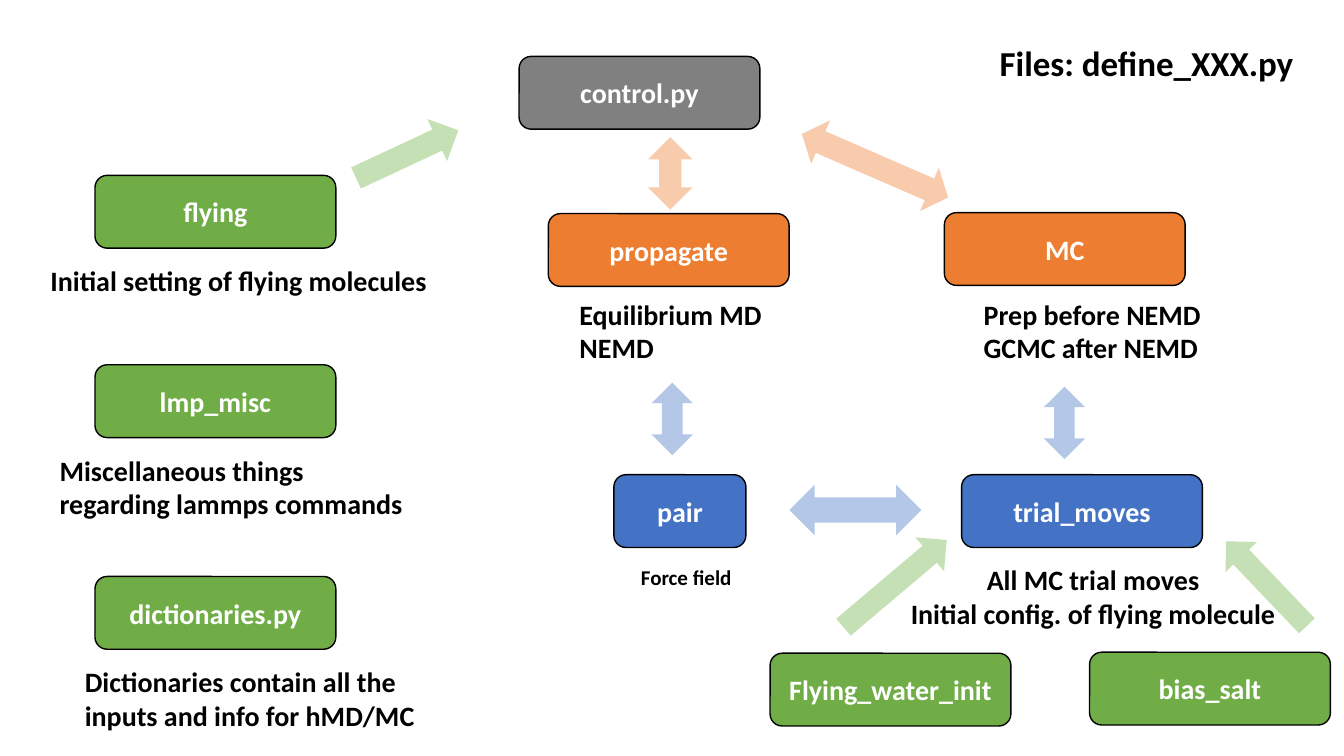
from lxml import etree
from pptx import Presentation, util as u
from pptx.dml.color import RGBColor
from pptx.enum import shapes, text

HUES = {
    "gray": "808080", "green": "70AD47", "orange": "ED7D31", "blue": "4472C4",
    "mint": "C5E0B4", "peach": "F8CBAD", "sky": "B4C7E7",
    "black": "000000", "white": "FFFFFF",
}
WIDE, HIGH = 172, 52
KIND = shapes.MSO_SHAPE
LEFT, MID = text.PP_ALIGN.LEFT, text.PP_ALIGN.CENTER


def hue(name):
    """Return the named colour."""
    return RGBColor.from_string(HUES[name])


def write(frame, words, size, tint, align):
    """Fill a text frame with bold words."""
    frame.text = words
    for para in frame.paragraphs:
        para.alignment = align
        for run in para.runs:
            font = run.font
            font.name, font.size, font.bold = "Calibri", u.Pt(size), True
            font.color.rgb = hue(tint)


def shape(slide, kind, box, tint):
    """Add a flat filled shape in a box of points."""
    item = slide.shapes.add_shape(kind, *map(u.Pt, box))
    item.shadow.inherit = False
    item.fill.solid()
    item.fill.fore_color.rgb = hue(tint)
    item.line.fill.background()
    return item


def block(slide, x, y, words, tint, wide=WIDE):
    """Add a rounded module box with its name."""
    item = shape(slide, KIND.ROUNDED_RECTANGLE, (x, y, wide, HIGH), tint)
    item.line.color.rgb = hue("black")
    item.line.width = u.Pt(1)
    item.text_frame.vertical_anchor = text.MSO_ANCHOR.MIDDLE
    write(item.text_frame, words, 20, "white", MID)


def note(slide, box, words, size=20, align=LEFT, wrap=False):
    """Add a plain caption."""
    frame = slide.shapes.add_textbox(*map(u.Pt, box)).text_frame
    frame.word_wrap = wrap
    write(frame, words, size, "black", align)


def arrow(slide, box, tint, turn=0, kind=KIND.LEFT_RIGHT_ARROW):
    """Add a block arrow turned by degrees."""
    item = shape(slide, kind, box, tint)
    item.rotation = turn
    return item


def top(slide, x, y):
    """Draw the control box, its arrows and the file label."""
    block(slide, x, y, "control.py", "gray")
    note(slide, (x + 336.2, y - 14.4, 226.8, 37.4), "Files: define_XXX.py", 25)
    arrow(slide, (x - 96.5, y + 29.5, 33.1, 80.6), "mint", 65, KIND.UP_ARROW)
    arrow(slide, (x + 82.1, y + 67.7, 51.8, 31.7), "peach", 270)
    slant = arrow(slide, (x + 197.3, y + 61.2, 113.8, 33.8), "peach", 23.5)
    slant.adjustments[1] = 0.43


def side(slide, x, y):
    """Draw the column of helper modules."""
    rows = [
        (0, "flying", -39, 286.6, "Initial setting of flying molecules", False),
        (135.3, "lmp_misc", -32.4, 260.6,
         "Miscellaneous things regarding lammps commands", True),
        (286.5, "dictionaries.py", -14.4, 272.2,
         "Dictionaries contain all the inputs and info for hMD/MC", True),
    ]
    for drop, name, shift, wide, words, wrap in rows:
        block(slide, x, y + drop, name, "green")
        high = 55.4 if wrap else 31.7
        note(slide, (x + shift, y + drop + 59.5, wide, high), words, wrap=wrap)


def force(slide, x, y):
    """Draw the dynamics column down to the force field."""
    block(slide, x, y, "propagate", "orange")
    note(slide, (x + 15.1, y + 56.2, 145.4, 55.4), "Equilibrium MD\nNEMD")
    arrow(slide, (x + 62.6, y + 131.8, 51.8, 29.5), "sky", 270)
    block(slide, x + 46.8, y + 186.5, "pair", "blue", 94.3)
    note(slide, (x + 59, y + 247, 79.9, 25.2), "Force field", 15)
    arrow(slide, (x + 172.1, y + 193.7, 94.3, 36), "sky")


def feeds(slide, x, y):
    """Draw the two modules that feed the trial moves."""
    block(slide, x, y, "Flying_water_init", "green")
    block(slide, x + 228.2, y - 0.7, "bias_salt", "green")
    for box, turn in [((x + 73.4, y - 98, 31.7, 96.5), 49.8),
                      ((x + 339.1, y - 91.5, 31, 83.5), 316.3)]:
        arrow(slide, box, "mint", turn, KIND.UP_ARROW)


def trials(slide, x, y):
    """Draw the Monte Carlo column down to the trial moves."""
    block(slide, x, y, "MC", "orange")
    note(slide, (x + 20.9, y + 56.9, 171.4, 55.4),
         "Prep before NEMD\nGCMC after NEMD")
    arrow(slide, (x + 59.8, y + 135.4, 51.8, 29.5), "sky", 90)
    block(slide, x + 12.3, y + 187.2, "trial_moves", "blue")
    note(slide, (x - 32.4, y + 246.3, 277.2, 55.4),
         "All MC trial moves\nInitial config. of flying molecule", align=MID)


def main():
    """Build and save the slide."""
    deck = Presentation()
    deck.slide_width, deck.slide_height = u.Pt(960), u.Pt(540)
    slide = deck.slides.add_slide(deck.slide_layouts[6])
    top(slide, 370.8, 40.3)
    side(slide, 67.9, 125.3)
    force(slide, 391.7, 152.6)
    feeds(slide, 550.1, 466.6)
    trials(slide, 674.6, 151.9)
    deck.save("out.pptx")


if __name__ == "__main__":
    main()
